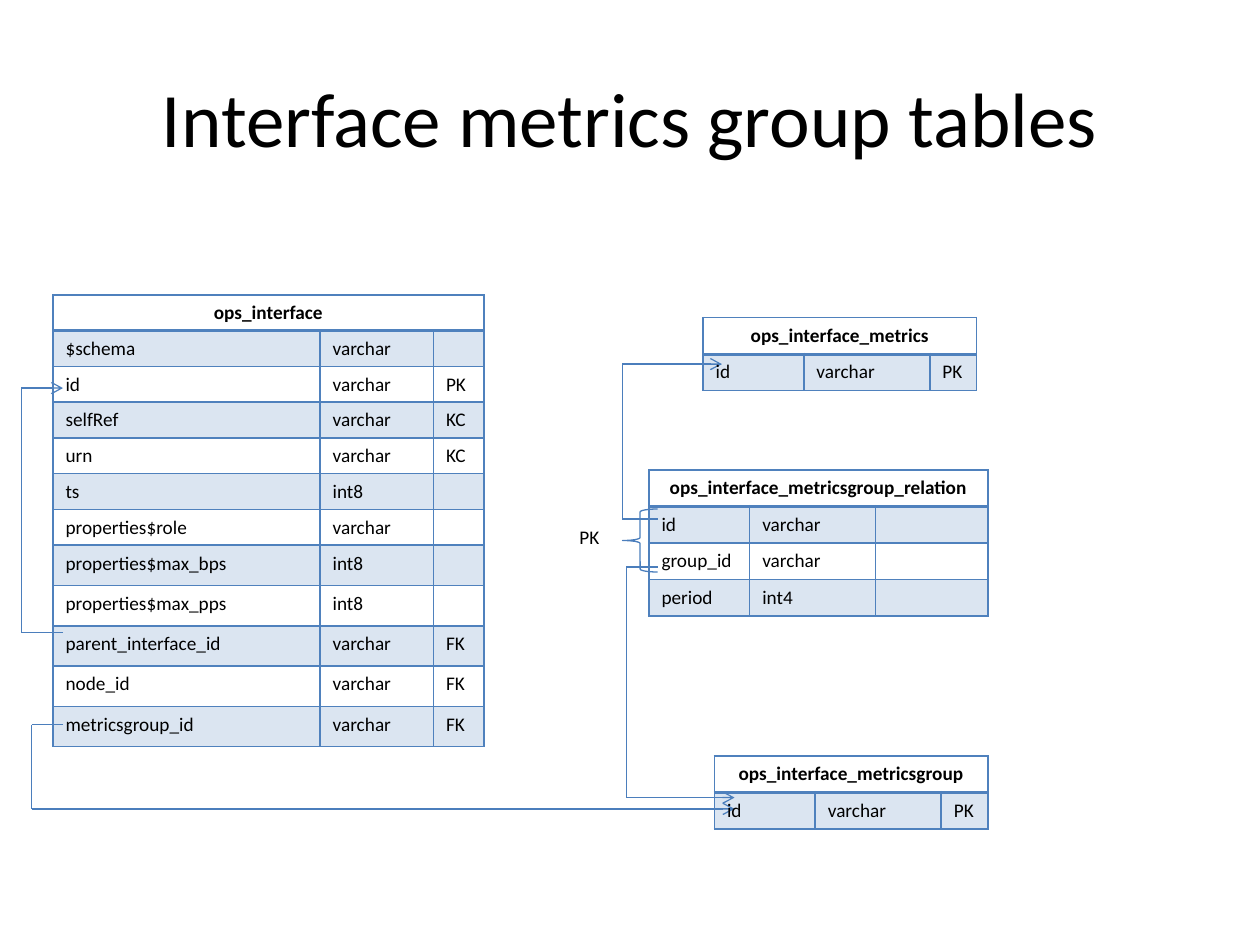
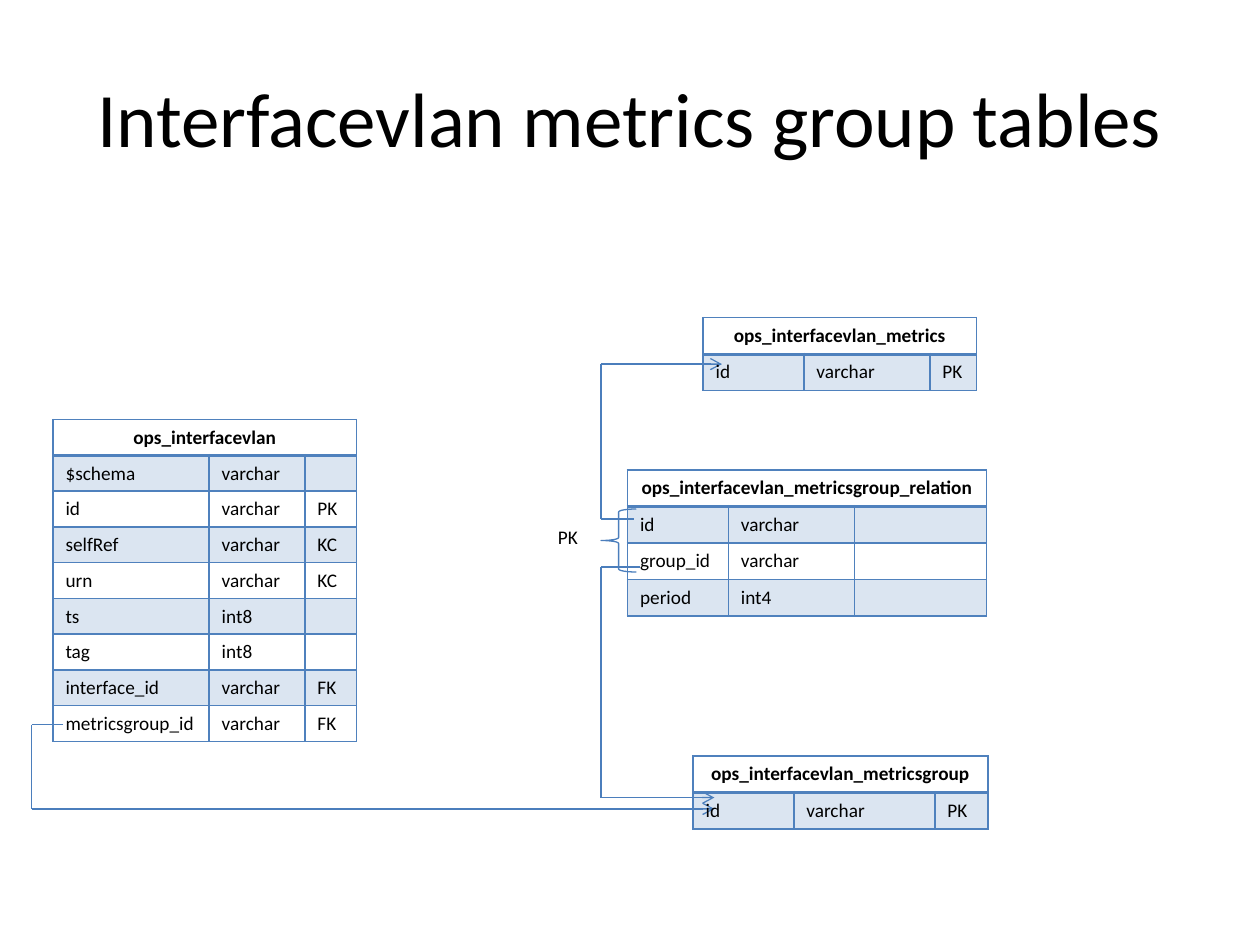
from dataclasses import dataclass
from itertools import pairwise
from typing import NamedTuple

from lxml import etree
from pptx import Presentation
from pptx.dml.color import RGBColor
from pptx.enum.shapes import MSO_CONNECTOR, MSO_SHAPE
from pptx.enum.text import MSO_ANCHOR, PP_ALIGN
from pptx.oxml.ns import qn
from pptx.util import Pt

PX = 9144  # EMU; 100 px to the inch
COLORS = {"text": "000000", "border": "4F81BD", "line": "4B7EBC"}
FONT = "Calibri"
TITLE_SIZE, BODY_SIZE = 44, 11
LINE_WIDTH, BORDER_WIDTH, HEADER_RULE_WIDTH = 0.75, 1, 2
BAND_ALPHA = 20
TALL_ROW = 32
STRAIGHT = MSO_CONNECTOR.STRAIGHT
LEFT_BRACE = MSO_SHAPE.LEFT_BRACE
LEFT, CENTER = PP_ALIGN.LEFT, PP_ALIGN.CENTER
TOP, MIDDLE = MSO_ANCHOR.TOP, MSO_ANCHOR.MIDDLE


class Field(NamedTuple):
    name: str
    kind: str
    key: str = ""


class Link(NamedTuple):
    """A path of straight lines through its points."""
    points: list[tuple[int, int]]
    arrow: bool = True


@dataclass
class Entity:
    name: str
    left: int
    top: int
    columns: tuple[int, int, int]
    fields: list[Field]
    row_height: int = 29
    tall_rows: int = 0

    def row_heights(self) -> list[int]:
        normal = 1 + len(self.fields) - self.tall_rows
        return [self.row_height] * normal + [TALL_ROW] * self.tall_rows


@dataclass
class Diagram:
    title: str
    entities: list[Entity]
    links: list[Link]
    brace_left: int


def px(*lengths: int) -> list[int]:
    return [length * PX for length in lengths]


def color(name: str) -> RGBColor:
    return RGBColor.from_string(COLORS[name])


def style_para(para, size: int, bold: bool = False, align=LEFT) -> None:
    para.alignment = align
    font = para.font
    font.name, font.size, font.bold = FONT, Pt(size), bold
    font.color.rgb = color("text")


def add_text(page, text: str, box: tuple, size: int, align=LEFT, anchor=TOP, wrap=True) -> None:
    frame = page.shapes.add_textbox(*px(*box)).text_frame
    frame.word_wrap = wrap
    frame.vertical_anchor = anchor
    frame.text = text
    style_para(frame.paragraphs[0], size, align=align)


def set_borders(cell, top: float, bottom: float) -> None:
    properties = cell._tc.get_or_add_tcPr()
    sides = {"lnL": BORDER_WIDTH, "lnR": BORDER_WIDTH, "lnT": top, "lnB": bottom}
    for side, width in sides.items():
        line = etree.SubElement(properties, qn(f"a:{side}"), w=str(Pt(width)))
        fill = etree.SubElement(line, qn("a:solidFill"))
        etree.SubElement(fill, qn("a:srgbClr"), val=COLORS["border"])


def fill_cell(cell, banded: bool) -> None:
    if not banded:
        cell.fill.background()
        return
    cell.fill.solid()
    cell.fill.fore_color.rgb = color("border")
    tint = cell._tc.tcPr.find(f"{qn('a:solidFill')}/{qn('a:srgbClr')}")
    etree.SubElement(tint, qn("a:alpha"), val=str(BAND_ALPHA * 1000))


def add_entity(page, entity: Entity) -> None:
    heights = entity.row_heights()
    box = (entity.left, entity.top, sum(entity.columns), sum(heights))
    table = page.shapes.add_table(len(heights), len(entity.columns), *px(*box)).table
    table.first_row = table.horz_banding = False
    for column, width in zip(table.columns, px(*entity.columns)):
        column.width = width
    for row, height in zip(table.rows, px(*heights)):
        row.height = height
    table.cell(0, 0).merge(table.cell(0, len(entity.columns) - 1))
    for row_index, values in enumerate([(entity.name, "", ""), *entity.fields]):
        header = row_index == 0
        top = HEADER_RULE_WIDTH if row_index == 1 else BORDER_WIDTH
        bottom = HEADER_RULE_WIDTH if header else BORDER_WIDTH
        for column_index, value in enumerate(values):
            cell = table.cell(row_index, column_index)
            para = cell.text_frame.paragraphs[0]
            style_para(para, BODY_SIZE, header, CENTER if header else LEFT)
            if value:
                para.add_run().text = value
            else:  # keeps an empty cell from growing to the default size
                etree.SubElement(para._p, qn("a:endParaRPr"), sz=str(BODY_SIZE * 100))
            set_borders(cell, top, bottom)
            fill_cell(cell, row_index % 2 == 1)


def add_link(page, link: Link) -> None:
    for start, end in pairwise(link.points):
        connector = page.shapes.add_connector(STRAIGHT, *px(*start, *end))
        connector.line.color.rgb = color("line")
        connector.line.width = Pt(LINE_WIDTH)
        properties = connector._element.spPr
        if link.arrow and end == link.points[-1]:
            etree.SubElement(properties.find(qn("a:ln")), qn("a:tailEnd"), type="arrow")
        etree.SubElement(properties, qn("a:effectLst"))


def add_key_brace(page, left: int) -> None:
    """Brace over the two fields that form the primary key, with its label."""
    brace = page.shapes.add_shape(LEFT_BRACE, *px(left, 404, 28, 50))
    brace.shadow.inherit = False
    brace.fill.background()
    brace.line.color.rgb = color("line")
    brace.line.width = Pt(LINE_WIDTH)
    add_text(page, "PK", (left - 44, 412, 47, 29), BODY_SIZE, wrap=False)


def add_diagram(deck, diagram: Diagram) -> None:
    page = deck.slides.add_slide(deck.slide_layouts[6])
    add_text(page, diagram.title, (50, 30, 900, 125), TITLE_SIZE, CENTER, MIDDLE)
    for link in diagram.links:
        add_link(page, link)
    add_key_brace(page, diagram.brace_left)
    for entity in diagram.entities:
        add_entity(page, entity)


KEY_FIELD = [Field("id", "varchar", "PK")]
RELATION_FIELDS = [Field("id", "varchar"), Field("group_id", "varchar"), Field("period", "int4")]
COMMON_FIELDS = [
    Field("$schema", "varchar"),
    *KEY_FIELD,
    Field("selfRef", "varchar", "KC"),
    Field("urn", "varchar", "KC"),
    Field("ts", "int8"),
]
GROUP_FIELD = Field("metricsgroup_id", "varchar", "FK")

INTERFACE_FIELDS = [
    *COMMON_FIELDS,
    Field("properties$role", "varchar"),
    Field("properties$max_bps", "int8"),
    Field("properties$max_pps", "int8"),
    Field("parent_interface_id", "varchar", "FK"),
    Field("node_id", "varchar", "FK"),
    GROUP_FIELD,
]
VLAN_FIELDS = [
    *COMMON_FIELDS,
    Field("tag", "int8"),
    Field("interface_id", "varchar", "FK"),
    GROUP_FIELD,
]

DIAGRAMS = [
    Diagram(
        "Interface metrics group tables",
        [
            Entity("ops_interface_metrics", 558, 252, (80, 100, 37), KEY_FIELD),
            Entity("ops_interface_metricsgroup_relation", 515, 373, (80, 100, 89), RELATION_FIELDS),
            Entity("ops_interface_metricsgroup", 567, 600, (80, 100, 37), KEY_FIELD),
            Entity("ops_interface", 42, 234, (212, 90, 40), INTERFACE_FIELDS, 28, 5),
        ],
        [
            Link([(50, 502), (17, 502), (17, 308), (50, 308)]),
            Link([(50, 575), (25, 575), (25, 642), (583, 642)]),
            Link([(522, 450), (497, 450), (497, 633), (583, 633)]),
            Link([(522, 412), (494, 412), (494, 289), (573, 289)]),
        ],
        494,
    ),
    Diagram(
        "Interfacevlan metrics group tables",
        [
            Entity("ops_interfacevlan_metrics", 558, 252, (80, 100, 37), KEY_FIELD),
            Entity("ops_interfacevlan_metricsgroup_relation", 498, 373, (80, 100, 105),
                   RELATION_FIELDS),
            Entity("ops_interfacevlan_metricsgroup", 550, 600, (80, 112, 42), KEY_FIELD),
            Entity("ops_interfacevlan", 42, 333, (124, 76, 41), VLAN_FIELDS, 28),
        ],
        [
            Link([(50, 575), (25, 575), (25, 642), (567, 642)]),
            Link([(508, 450), (477, 450), (477, 633), (567, 633)]),
            Link([(503, 412), (477, 412), (477, 289), (573, 289)]),
        ],
        477,
    ),
]


def main() -> None:
    deck = Presentation()
    deck.slide_width, deck.slide_height = px(1000, 750)
    for diagram in DIAGRAMS:
        add_diagram(deck, diagram)
    deck.save("out.pptx")


if __name__ == "__main__":
    main()
